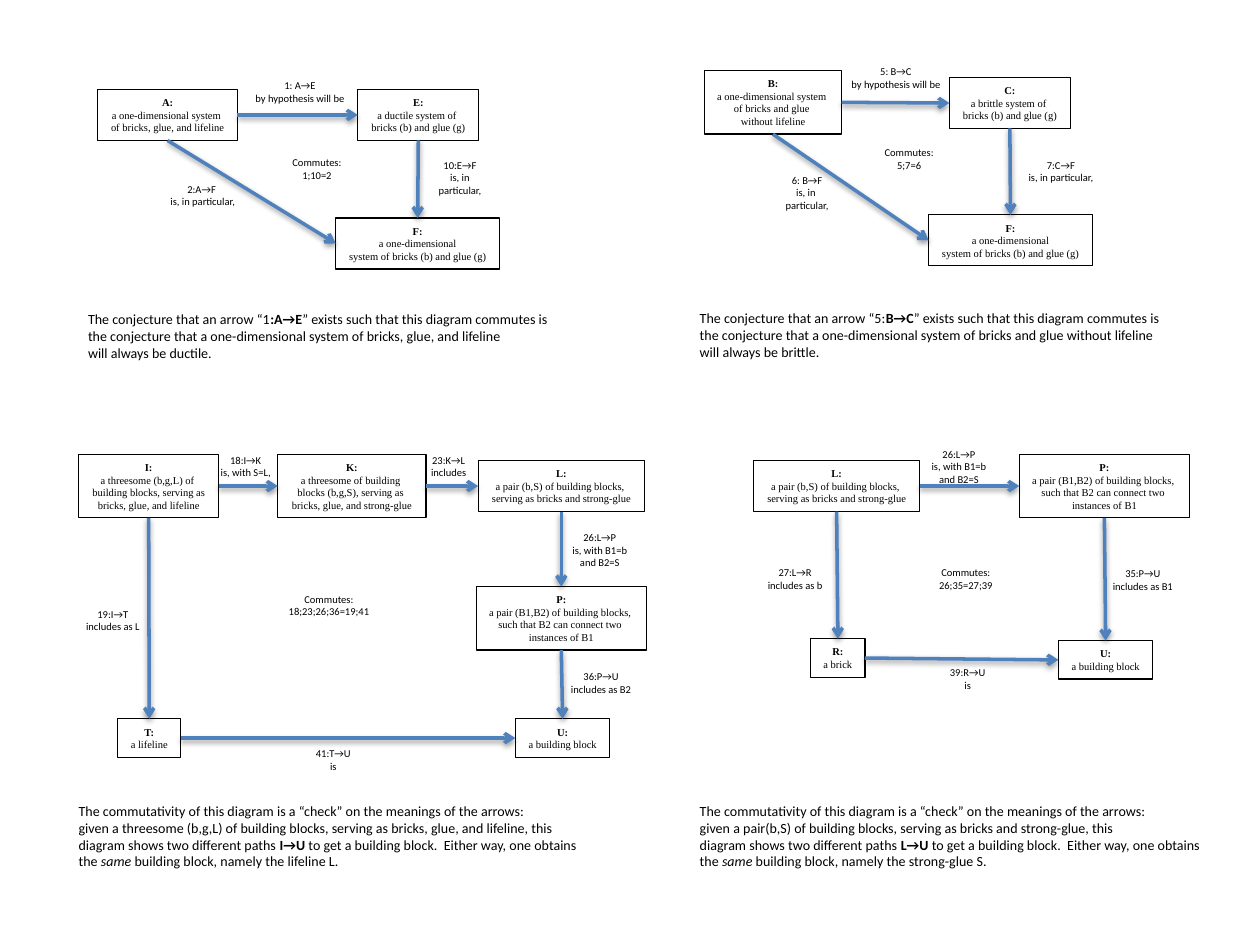
from lxml import etree
from pptx import Presentation
from pptx import util as u
from pptx.dml.color import RGBColor
from pptx.enum import shapes, text
from pptx.oxml import parse_xml
from pptx.oxml.ns import nsdecls, qn

PX = 4572  # 200 px to the inch
BLACK = RGBColor(0x00, 0x00, 0x00)
BLUE = RGBColor(0x4F, 0x81, 0xBD)
TOP, LEFT, BOTTOM, RIGHT = range(4)

SHADOW = f"""<a:effectLst {nsdecls('a')}>
  <a:outerShdw blurRad="40000" dist="20000" dir="5400000" rotWithShape="0">
    <a:srgbClr val="000000"><a:alpha val="38000"/></a:srgbClr>
  </a:outerShdw>
</a:effectLst>"""

SYSTEMS = {
    "A": ["a one-dimensional system ", "of bricks, glue, and lifeline"],
    "B": ["a one-dimensional system ", "of bricks and glue ", "without lifeline"],
    "C": ["a brittle system of ", "bricks (b) and glue (g)"],
    "E": ["a ductile system of ", "bricks (b) and glue (g)"],
    "F": ["a one-dimensional", "system of bricks (b) and glue (g)"],
    "I": ["a threesome (b,g,L) of ", "building blocks, serving as ", "bricks, glue, and lifeline"],
    "K": ["a threesome of building ", "blocks (b,g,S), serving as ", "bricks, glue, and strong-glue"],
    "L": ["a pair (b,S) of building blocks, ", "serving as bricks and strong-glue"],
    "P": ["a pair (B1,B2) of building blocks, ", "such that B2 can connect two ", "instances of B1"],
    "R": ["a brick"],
    "T": ["a lifeline"],
    "U": ["a building block"],
}

# Boxes: left, top, width. Arrows: box and side at each end.
# Labels: left, top, width, lines.
DIAGRAMS = [
    {
        "boxes": {"F": (533, 346, 260), "A": (155, 142, 222), "E": (568, 142, 192)},
        "arrows": [("A", RIGHT, "E", LEFT), ("A", BOTTOM, "F", LEFT), ("E", BOTTOM, "F", TOP)],
        "labels": [
            (246, 280, 148, ["2:A→F", " is, in particular,"]),
            (675, 242, 110, ["10:E→F", " is, in ", "particular,"]),
            (384, 116, 184, ["1: A→E", "by hypothesis will be"]),
            (444, 238, 118, ["Commutes:", "1;10=2"]),
        ],
    },
    {
        "boxes": {"F": (1474, 341, 260), "C": (1507, 123, 192), "B": (1118, 112, 218)},
        "arrows": [("B", RIGHT, "C", LEFT), ("B", BOTTOM, "F", LEFT), ("C", BOTTOM, "F", TOP)],
        "labels": [
            (1330, 94, 184, ["5: B→C", "by hypothesis will be"]),
            (1226, 266, 110, ["6: B→F", "is, in ", "particular,"]),
            (1612, 242, 144, ["7:C→F", "is, in particular,"]),
            (1384, 222, 118, ["Commutes:", "5;7=6"]),
        ],
    },
    {
        "boxes": {
            "U": (818, 1141, 150), "P": (756, 931, 270), "L": (759, 731, 264),
            "T": (187, 1141, 100), "K": (441, 721, 235), "I": (125, 721, 222),
        },
        "arrows": [
            ("I", RIGHT, "K", LEFT), ("K", RIGHT, "L", LEFT), ("L", BOTTOM, "P", TOP),
            ("P", BOTTOM, "U", TOP), ("I", BOTTOM, "T", TOP), ("T", RIGHT, "U", LEFT),
        ],
        "labels": [
            (330, 710, 120, ["18:I→K", "is, with S=L,"]),
            (664, 710, 96, ["23:K→L", "includes"]),
            (480, 1176, 98, ["41:T→U", "is"]),
            (115, 955, 128, ["19:I→T", "includes as L"]),
            (886, 1054, 136, ["36:P→U", "includes as B2"]),
            (888, 833, 128, ["26:L→P", "is, with B1=b", "and B2=S"]),
            (437, 931, 170, ["Commutes:", "18;23;26;36=19;41"]),
        ],
    },
    {
        "boxes": {
            "U": (1680, 1017, 150), "P": (1618, 721, 270),
            "L": (1196, 731, 264), "R": (1287, 1014, 86),
        },
        "arrows": [
            ("L", RIGHT, "P", LEFT), ("L", BOTTOM, "R", TOP),
            ("P", BOTTOM, "U", TOP), ("R", RIGHT, "U", LEFT),
        ],
        "labels": [
            (1486, 1048, 100, ["39:R→U", "is"]),
            (1198, 889, 128, ["27:L→R", "includes as b"]),
            (1746, 890, 136, ["35:P→U", "includes as B1"]),
            (1458, 701, 128, ["26:L→P", "is, with B1=b", "and B2=S"]),
            (1470, 889, 126, ["Commutes:", "26;35=27;39"]),
        ],
    },
]


def px(*lengths):
    return [u.Emu(length * PX) for length in lengths]


def small_height(lines):
    """Height of a 6 pt text block with its insets."""
    return 20 * len(lines) + 21


def write(shape, lines, font, size, align, wrap=False):
    """Fill a shape; a line is a string or a list of strings and (string, style) pairs."""
    frame = shape.text_frame
    frame.word_wrap = wrap
    frame.auto_size = text.MSO_AUTO_SIZE.SHAPE_TO_FIT_TEXT
    for number, line in enumerate(lines):
        para = frame.paragraphs[0] if number == 0 else frame.add_paragraph()
        para.alignment = align
        para.font.name = font
        para.font.size = u.Pt(size)
        para.font.color.rgb = BLACK
        for part in [line] if isinstance(line, str) else line:
            words, style = (part, "") if isinstance(part, str) else part
            span = para.add_run()
            span.text = words
            if style:
                setattr(span.font, style, True)


def add_box(group, name, left, top, width):
    lines = [name + ":"] + SYSTEMS[name]
    box = group.shapes.add_shape(
        shapes.MSO_SHAPE.RECTANGLE, *px(left, top, width, small_height(lines)))
    box.shadow.inherit = False
    box.fill.background()
    box.line.color.rgb = BLACK
    box.line.width = u.Pt(0.75)
    write(box, lines, "Times New Roman", 6, text.PP_ALIGN.CENTER)
    box.text_frame.paragraphs[0].font.bold = True
    return box


def add_arrow(group, start, start_side, end, end_side):
    arrow = group.shapes.add_connector(
        shapes.MSO_CONNECTOR.STRAIGHT, start.left, start.top, end.left, end.top)
    arrow.begin_connect(start, start_side)
    arrow.end_connect(end, end_side)
    arrow.line.color.rgb = BLUE
    arrow.line.width = u.Pt(2)
    properties = arrow._element.spPr
    etree.SubElement(properties.find(qn("a:ln")), qn("a:tailEnd"), type="arrow")
    properties.append(parse_xml(SHADOW))


def add_label(group, left, top, width, lines):
    label = group.shapes.add_textbox(*px(left, top, width, small_height(lines)))
    write(label, lines, "Calibri", 6, text.PP_ALIGN.CENTER)


def add_diagram(page, boxes, arrows, labels):
    group = page.shapes.add_group_shape()
    placed = {name: add_box(group, name, *place) for name, place in boxes.items()}
    for start, start_side, end, end_side in arrows:
        add_arrow(group, placed[start], start_side, placed[end], end_side)
    for label in labels:
        add_label(group, *label)


def add_caption(page, left, top, width, height, lines, wrap=False):
    caption = page.shapes.add_textbox(*px(left, top, width, height))
    write(caption, lines, "Calibri", 8, text.PP_ALIGN.LEFT, wrap)


def conjecture(number, arrow, system, outcome):
    return [
        ["The conjecture that an arrow “" + number, (arrow, "bold"),
         "” exists such that this diagram commutes is"],
        "the conjecture that a one-dimensional system of " + system,
        f"will always be {outcome}.",
    ]


def check(given, arrow, block):
    return [
        "The commutativity of this diagram is a “check” on the meanings of the arrows:",
        f"given a {given}, this",
        ["diagram shows two different paths ", (arrow + " ", "bold"),
         "to get a building block.  Either way, one obtains"],
        ["the ", ("same", "italic"), f" building block, namely the {block}."],
    ]


def main():
    deck = Presentation()
    deck.slide_width, deck.slide_height = px(2000, 1500)
    page = deck.slides.add_slide(deck.slide_layouts[6])
    for diagram in DIAGRAMS:
        add_diagram(page, **diagram)
    add_caption(page, 120, 483, 776, 101,
                conjecture("1", ":A→E", "bricks, glue, and lifeline", "ductile"))
    add_caption(page, 1091, 482, 776, 101,
                conjecture("5:", "B→C", "bricks and glue without lifeline", "brittle"))
    add_caption(page, 105, 1264, 882, 128, check(
        "threesome (b,g,L) of building blocks, serving as bricks, glue, and lifeline",
        "I→U", "lifeline L"), wrap=True)
    add_caption(page, 1091, 1264, 842, 128, check(
        "pair(b,S) of building blocks, serving as bricks and strong-glue",
        "L→U", "strong-glue S"))
    deck.save("out.pptx")


if __name__ == "__main__":
    main()
